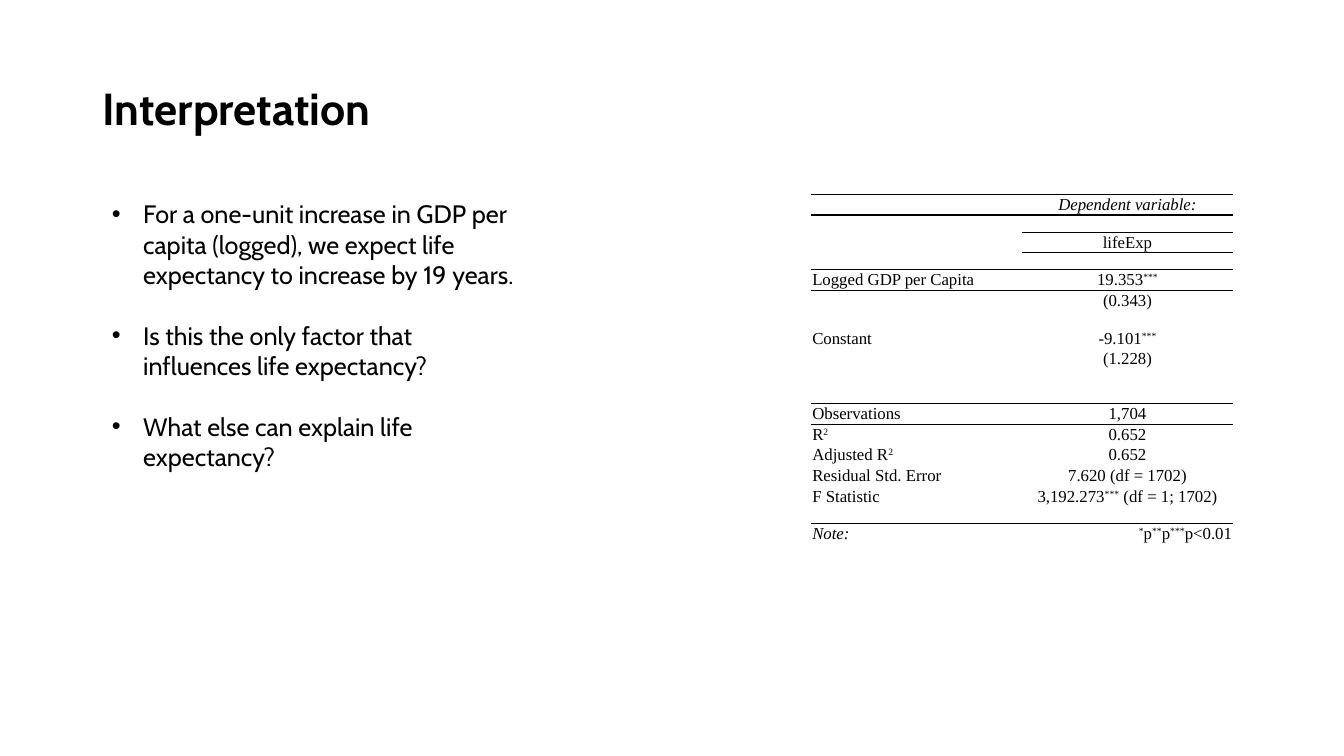
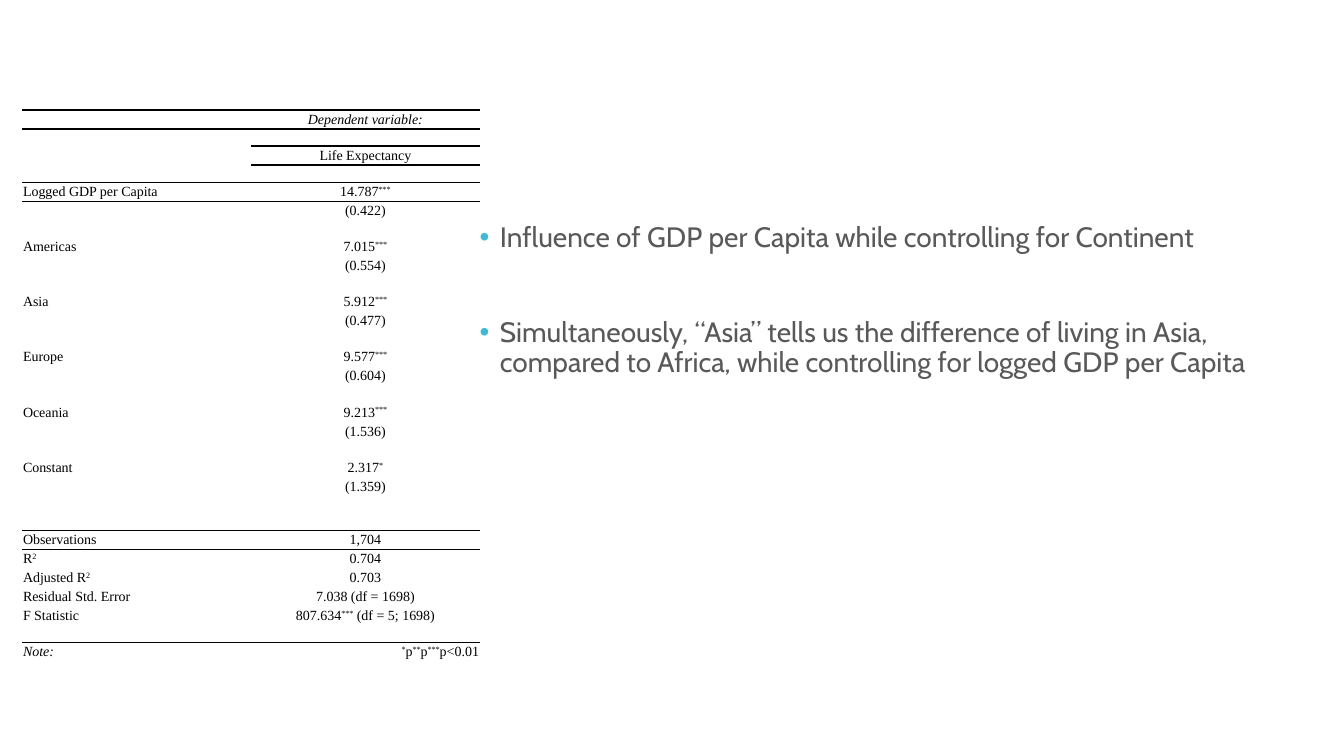
from lxml.etree import SubElement as Sub
from pptx import Presentation
from pptx.dml.color import RGBColor
from pptx.enum.text import MSO_ANCHOR as Anchor, PP_ALIGN as Align
from pptx.oxml.ns import qn
from pptx.util import Cm, Pt

BLACK = RGBColor(0x00, 0x00, 0x00)
GREY = RGBColor(0x59, 0x59, 0x59)
TEAL = RGBColor(0x40, 0xBA, 0xD2)
SANS, SERIF = "Cabin", "Times New Roman"
PLAIN = "{2D5ABB26-0587-4C30-8999-92F81FD0307C}"  # table style without grid
BLANK = 0.43  # height of an empty table row, cm

# Table rows are (label, value, columns ruled below); ^ encloses superscript
GAP, HALF, RULE = ("", "", 0), ("", "", 1), ("", "", 2)


def model(dep, coefs, stats):
    """Lay out the rows of a regression table."""
    rows = [RULE, ("", "Dependent variable:", 0), HALF, ("", dep, 0), RULE]
    for name, value, error in coefs:
        rows += [(name, value, 0), ("", f"({error})", 0), GAP]
    names = ("Observations", "R^2^", "Adjusted R^2^",
             "Residual Std. Error", "F Statistic")
    rows.append(RULE)
    rows += [(name, value, 0) for name, value in zip(names, stats)]
    return rows + [RULE, ("Note:", "^*^p^**^p^***^p<0.01", 0)]


def style(font, face, size, color, bold=False, italic=False):
    font.name, font.size, font.color.rgb = face, Pt(size), color
    font.bold, font.italic = bold, italic


class Deck:
    def __init__(self):
        self.prs = Presentation()
        self.prs.slide_width, self.prs.slide_height = Cm(33.87), Cm(19.05)

    def page(self):
        self.slide = self.prs.slides.add_slide(self.prs.slide_layouts[6])

    def box(self, left, top, width, height):
        shape = self.slide.shapes.add_textbox(
            Cm(left), Cm(top), Cm(width), Cm(height))
        shape.text_frame.word_wrap = True
        return shape.text_frame

    def title(self, text):
        para = self.box(2.34, 1.9, 13.08, 1.63).paragraphs[0]
        para.text = text
        style(para.font, SANS, 32, BLACK, bold=True)

    def bullets(self, place, items, size, color, mark, indent, gap, line=1.0):
        frame = self.box(*place)
        for num, text in enumerate(items):
            para = frame.add_paragraph() if num else frame.paragraphs[0]
            para.text = text
            props = para._p.get_or_add_pPr()
            props.set("marL", str(Cm(indent)))
            props.set("indent", str(-Cm(indent)))
            Sub(Sub(props, qn("a:buClr")), qn("a:srgbClr"), val=str(mark))
            Sub(props, qn("a:buFont"), typeface="Arial")
            Sub(props, qn("a:buChar"), char="•")
            para.line_spacing, para.space_after = line, Pt(gap)
            style(para.font, SANS, size, color)

    def rule(self, cell, side):
        line = Sub(cell._tc.get_or_add_tcPr(), qn(f"a:ln{side}"), w=str(Pt(1)))
        Sub(Sub(line, qn("a:solidFill")), qn("a:srgbClr"), val=str(BLACK))

    def fill(self, cell, text, size, align):
        cell.margin_left = cell.margin_right = Cm(0.02)
        cell.margin_top = cell.margin_bottom = Cm(0.01)
        cell.vertical_anchor = Anchor.MIDDLE
        cell.fill.background()
        para = cell.text_frame.paragraphs[0]
        para.alignment = align
        if not text:
            # Keep empty cells from stretching their row
            para._p.get_or_add_endParaRPr().set("sz", "600")
            return
        style(para.font, SERIF, size, BLACK, italic=text.endswith(":"))
        for num, part in enumerate(text.split("^")):
            if part:
                run = para.add_run()
                run.text = part
                if num % 2:
                    run.font._element.set("baseline", "30000")

    def table(self, left, top, width, rows, size, tall):
        highs = [Cm(tall if row[1] else BLANK) for row in rows]
        grid = self.slide.shapes.add_table(
            len(rows), 2, Cm(left), Cm(top), Cm(width), sum(highs)).table
        grid.first_row = grid.horz_banding = False
        grid._tbl.tblPr.find(qn("a:tableStyleId")).text = PLAIN
        above = 0
        for num, (*texts, below) in enumerate(rows):
            grid.rows[num].height = highs[num]
            last = Align.RIGHT if num == len(rows) - 1 else Align.CENTER
            for col, align in enumerate((Align.LEFT, last)):
                cell = grid.cell(num, col)
                for side, count in (("T", above), ("B", below)):
                    if col >= 2 - count:
                        self.rule(cell, side)
                self.fill(cell, texts[col], size, align)
            if below == 2:
                grid.cell(num, 0).merge(grid.cell(num, 1))
            above = below


def main():
    deck = Deck()

    # Simple model
    deck.page()
    rows = model(
        "lifeExp",
        [("Logged GDP per Capita", "19.353^***^", "0.343"),
         ("Constant", "-9.101^***^", "1.228")],
        ("1,704", "0.652", "0.652", "7.620 (df = 1702)",
         "3,192.273^***^ (df = 1; 1702)"))
    deck.table(20.45, 4.47, 10.62, rows, size=12, tall=0.52)
    deck.title("Interpretation")
    deck.bullets(
        (2.57, 4.88, 10.85, 7.19),
        ["For a one-unit increase in GDP per capita (logged), "
         "we expect life expectancy to increase by 19 years.",
         "Is this the only factor that influences life expectancy?",
         "What else can explain life expectancy?"],
        size=18, color=BLACK, mark=BLACK, indent=0.79, gap=21.8)

    # Model with continents
    deck.page()
    deck.bullets(
        (11.84, 5.51, 21.84, 10.8),
        ["Influence of GDP per Capita while controlling for Continent",
         "Simultaneously, “Asia” tells us the difference of living in Asia, "
         "compared to Africa, while controlling for logged GDP per Capita"],
        size=20, color=GREY, mark=TEAL, indent=0.51, gap=45.8, line=0.9)
    rows = model(
        "Life Expectancy",
        [("Logged GDP per Capita", "14.787^***^", "0.422"),
         ("Americas", "7.015^***^", "0.554"),
         ("Asia", "5.912^***^", "0.477"),
         ("Europe", "9.577^***^", "0.604"),
         ("Oceania", "9.213^***^", "1.536"),
         ("Constant", "2.317^*^", "1.359")],
        ("1,704", "0.704", "0.703", "7.038 (df = 1698)",
         "807.634^***^ (df = 5; 1698)"))
    deck.table(0.56, 2.34, 11.53, rows, size=10, tall=0.48)

    deck.prs.save("out.pptx")


if __name__ == "__main__":
    main()
